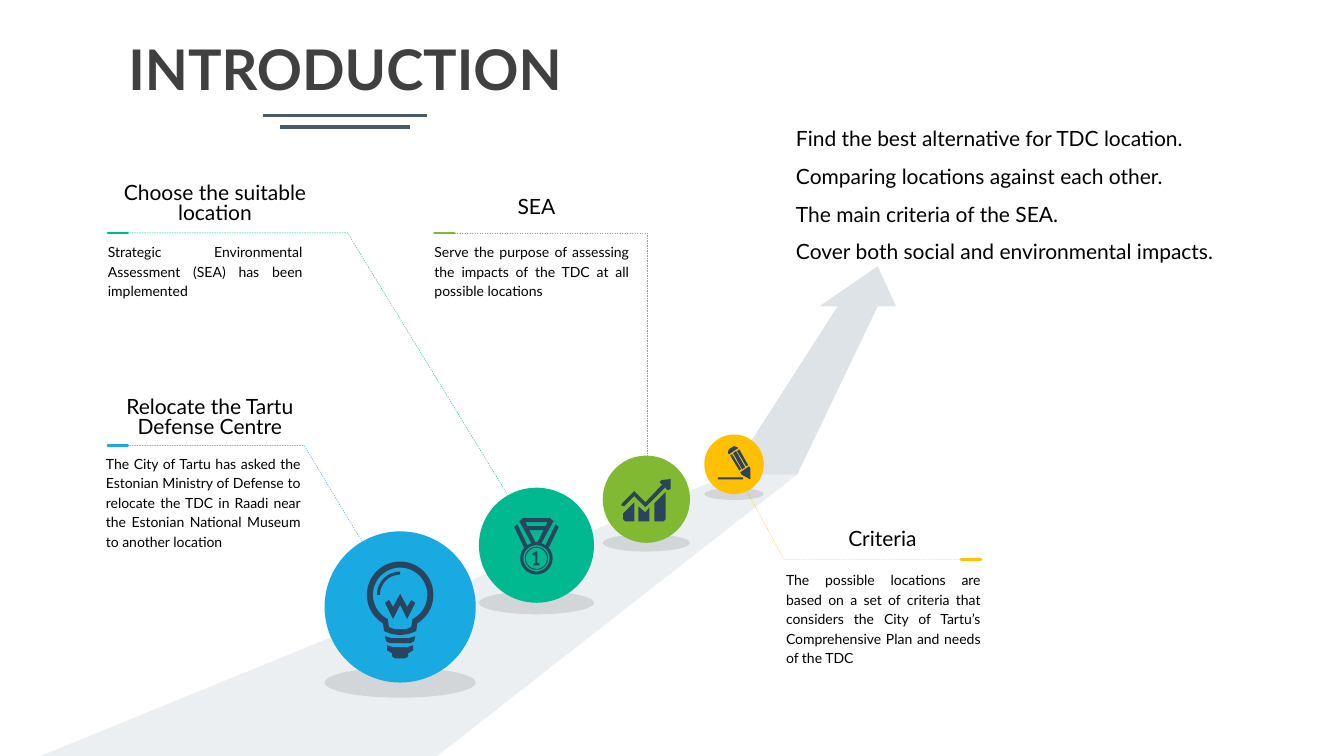
from dataclasses import dataclass
from math import cos, radians, sin

from pptx import Presentation
from pptx.dml.color import RGBColor
from pptx.enum.dml import MSO_LINE
from pptx.enum.shapes import MSO_CONNECTOR, MSO_SHAPE
from pptx.enum.text import MSO_ANCHOR, MSO_AUTO_SIZE as Auto, PP_ALIGN as Align
from pptx.oxml.ns import qn
from pptx.oxml.xmlchemy import OxmlElement
from pptx.util import Cm, Pt


@dataclass(frozen=True)
class Theme:
    font: str = "Lato"
    blue: str = "19AAE1"
    teal: str = "00B991"
    lime: str = "82B932"
    amber: str = "FFC000"
    icon: str = "2A445D"
    road: str = "A1B1BC"
    rule: str = "495A66"
    title: str = "404040"
    text: str = "000000"
    title_size: int = 40
    head_size: int = 15
    body_size: int = 10
    leading: int = 14


T = Theme()
ICON_UNIT = Cm(2.54) / 100


def arc(cx, cy, r, start, end, steps=48):
    angles = [radians(start + (end - start) * i / steps) for i in range(steps + 1)]
    return [(cx + r * cos(a), cy + r * sin(a)) for a in angles]


def mirror(half):
    return half + [(-x, y) for x, y in reversed(half)]


BULB = [
    mirror(arc(0, -12, 33, 270, 419) + [(16, 24), (8, 27), (0, 28)]),
    mirror(arc(0, -12, 27, 270, 423) + [(11, 20), (6, 22), (0, 22)]),
    arc(0, -12, 23, 180, 270) + arc(0, -12, 20, 270, 180),
    mirror([(0, -13), (7, 0), (11, -7), (15, -4), (7, 12), (0, -2)]),
    mirror([(0, 31), (8, 31), (15, 29), (14, 34), (10, 36), (0, 36)]),
    mirror([(0, 40), (7, 40), (13, 38), (13, 43), (8, 46), (8, 49), (5, 51), (0, 51)]),
]
MEDAL = [
    mirror([(13, -27), (17, -24), (5, -2), (9, 0), (19, -21), (22, -18), (12, 3)]
           + arc(0, 13, 16, -40, 90)),
    mirror([(11, -23), (9, -19)]),
    mirror([(7, -15), (1, -3)]),
    *[arc(0, 13, r, 0, 360) for r in (13, 11.5, 10.5)],
    [(1, 6), (0, 6), (-4, 8), (-4, 10), (-1, 10), (-1, 18), (-3, 18), (-3, 20),
     (3, 20), (3, 18), (1, 18)],
]
GROWTH = [
    [(15, -19), (24, -20), (24, -10), (21, -9), (19, -11), (20, -13), (-1, 8),
     (-12, -3), (-22, 7), (-25, 6), (-24, 4), (-12, -8), (-1, 3), (17, -16),
     (15, -15), (13, -17)],
    [(-8, 7), (-8, 22), (3, 22), (3, 8), (-1, 13)],
    [(-23, 14), (-23, 20), (-21, 22), (-12, 22), (-12, 3)],
    [(8, 4), (8, 22), (17, 22), (19, 20), (19, -7)],
]
PENCIL = [
    [(7, 9), (7, 10), (16, 15), (16, 4), (15, 2), (6, 8)],
    [(12, 2), (14, 1), (5, -15), (3, -13)],
    [(11, 3), (2, -13), (-1, -11), (8, 5)],
    [(-4, -9), (5, 6), (7, 5), (-2, -10)],
    [(-5, -10), (4, -16), (3, -17), (0, -18), (-5, -15), (-6, -13), (-6, -11)],
    [(-16, 15), (9, 15), (9, 13), (-16, 13)],
]
STOPS = [
    (T.blue, (8.18, 13.39, 3.81), BULB, [(3.2, 11.23), (7.67, 11.23), (10.08, 15.24)], 2.72,
     "Relocate the Tartu Defense Centre", (2.84, 10.06, 4.9, 0.99),
     "The City of Tartu has asked the Estonian Ministry of Defense to relocate the TDC "
     "in Raadi near the Estonian National Museum to another location",
     (2.67, 11.4, 4.9, 2.49)),
    (T.teal, (12.07, 12.29, 2.9), MEDAL, [(3.2, 5.87), (8.76, 5.87), (13.54, 13.69)], 2.72,
     "Choose the suitable location", (2.97, 4.67, 4.9, 0.99),
     "Strategic Environmental Assessment (SEA) has been implemented",
     (2.72, 6.07, 4.9, 1.45)),
    (T.lime, (15.19, 11.48, 2.2), GROWTH, [(11.33, 5.87), (16.31, 5.87), (16.31, 12.57)], 10.95,
     "SEA", (11.07, 5.03, 4.9, 0.51),
     "Serve the purpose of assessing the impacts of the TDC at all possible locations",
     (10.95, 6.07, 4.9, 1.5)),
    (T.amber, (17.75, 10.95, 1.5), PENCIL, [(24.38, 14.1), (19.76, 14.1), (18.47, 11.73)], 24.22,
     "Criteria", (19.79, 13.39, 4.9, 0.51),
     "The possible locations are based on a set of criteria that considers the City of "
     "Tartu’s Comprehensive Plan and needs of the TDC",
     (19.81, 14.33, 4.9, 2.44)),
]
GOALS = [
    "Find the best alternative for TDC location.",
    "Comparing locations against each other.",
    "The main criteria of the SEA.",
    "Cover both social and environmental impacts.",
]


def paint(sp, color, alpha=None):
    sp.shadow.inherit = False
    sp.line.fill.background()
    sp.fill.solid()
    sp.fill.fore_color.rgb = RGBColor.from_string(color)
    if alpha:
        el = OxmlElement("a:alpha")
        el.set("val", str(alpha * 1000))
        sp._element.spPr.find(".//" + qn("a:srgbClr")).append(el)


def add_outline(s, contours, closed=True):
    first, *others = [[(round(x), round(y)) for x, y in c] for c in contours]
    fb = s.shapes.build_freeform(*first[0], scale=1.0)
    fb.add_line_segments(first[1:], close=closed)
    for contour in others:
        fb.move_to(*contour[0])
        fb.add_line_segments(contour[1:], close=closed)
    return fb.convert_to_shape()


def add_area(s, points, alpha):
    paint(add_outline(s, [[(Cm(x), Cm(y)) for x, y in points]]), T.road, alpha)


def add_leader(s, points, color):
    sp = add_outline(s, [[(Cm(x), Cm(y)) for x, y in points]], closed=False)
    sp.shadow.inherit = False
    sp.fill.background()
    sp.line.color.rgb = RGBColor.from_string(color)
    sp.line.width = Pt(0.25)
    sp.line.dash_style = MSO_LINE.DASH


def add_rule(s, x, y, length, color, width, cap="flat"):
    cn = s.shapes.add_connector(MSO_CONNECTOR.STRAIGHT, Cm(x), Cm(y), Cm(x + length), Cm(y))
    cn.line.color.rgb = RGBColor.from_string(color)
    cn.line.width = Pt(width)
    cn.line._get_or_add_ln().set("cap", cap)
    cn._element.spPr.append(OxmlElement("a:effectLst"))


def add_ball(s, left, top, size, color, icon):
    for y, height, fill, alpha in ((top + 0.9 * size, 0.2 * size, T.text, 10),
                                   (top, size, color, None)):
        sp = s.shapes.add_shape(MSO_SHAPE.OVAL, Cm(left), Cm(y), Cm(size), Cm(height))
        paint(sp, fill, alpha)
    cx, cy = Cm(left + size / 2), Cm(top + size / 2)
    contours = [[(cx + x * ICON_UNIT, cy + y * ICON_UNIT) for x, y in c] for c in icon]
    paint(add_outline(s, contours), T.icon)


def add_run(p, text, size, color=T.text, bold=False):
    r = p.add_run()
    r.text = text
    r.font.name = T.font
    r.font.size = Pt(size)
    r.font.bold = bold
    r.font.color.rgb = RGBColor.from_string(color)


def add_text(s, box, lines, size, align, spacing, inset=(0, 0)):
    tf = s.shapes.add_textbox(*map(Cm, box)).text_frame
    tf.word_wrap = True
    tf.auto_size = Auto.SHAPE_TO_FIT_TEXT
    tf.margin_left = tf.margin_right = Cm(inset[0])
    tf.margin_top = tf.margin_bottom = Cm(inset[1])
    for i, line in enumerate(lines):
        p = tf.add_paragraph() if i else tf.paragraphs[0]
        p.alignment = align
        p.line_spacing = spacing
        add_run(p, line, size)


def set_title(s, text):
    sp = s.shapes.title
    sp.left, sp.top, sp.width, sp.height = map(Cm, (3.02, 0.84, 11.35, 1.98))
    tf = sp.text_frame
    tf.word_wrap = True
    tf.auto_size = Auto.NONE
    tf.vertical_anchor = MSO_ANCHOR.MIDDLE
    tf.margin_left = tf.margin_right = Cm(0.1)
    tf.margin_top = tf.margin_bottom = Cm(0.13)
    p = tf.paragraphs[0]
    p.alignment = Align.CENTER
    p.line_spacing = 0.9
    add_run(p, text, T.title_size, T.title, True)


def main():
    prs = Presentation()
    prs.slide_width, prs.slide_height = Cm(33.87), Cm(19.05)
    s = prs.slides.add_slide(prs.slide_layouts[5])
    set_title(s, "INTRODUCTION")
    add_rule(s, 6.63, 2.92, 4.14, T.rule, 2.25)
    add_rule(s, 7.06, 3.2, 3.28, T.rule, 2.25)
    add_area(s, [(1.02, 19.05), (11.02, 19.05), (20.09, 11.96), (18.39, 11.96)], 20)
    add_area(s, [(22.58, 7.72), (22.12, 6.71), (20.65, 7.72), (21.11, 7.72),
                 (18.39, 11.96), (20.09, 11.96), (22.12, 7.72)], 35)
    for color, _, _, leader, *_ in STOPS:
        add_leader(s, leader, color)
    for color, ball, icon, leader, tick, head, head_box, body, body_box in STOPS:
        add_ball(s, *ball, color, icon)
        add_rule(s, tick, leader[0][1], 0.5, color, 2, "rnd")
        add_text(s, head_box, [head], T.head_size, Align.CENTER, Pt(T.leading))
        add_text(s, body_box, [body], T.body_size, Align.JUSTIFY, Pt(T.leading))
    add_text(s, (19.81, 2.72, 14, 3.99), GOALS, T.head_size, Align.LEFT, 1.5, (0.25, 0.13))
    prs.save("out.pptx")


if __name__ == "__main__":
    main()
